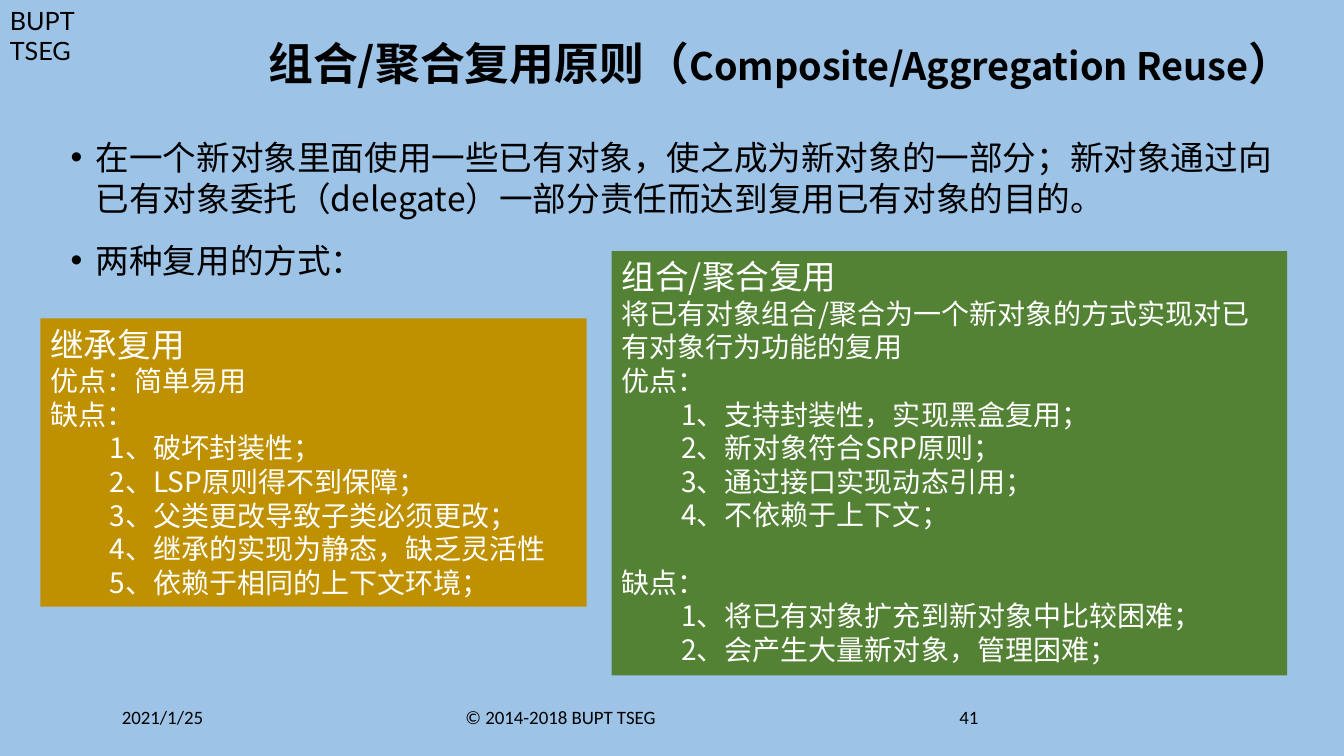
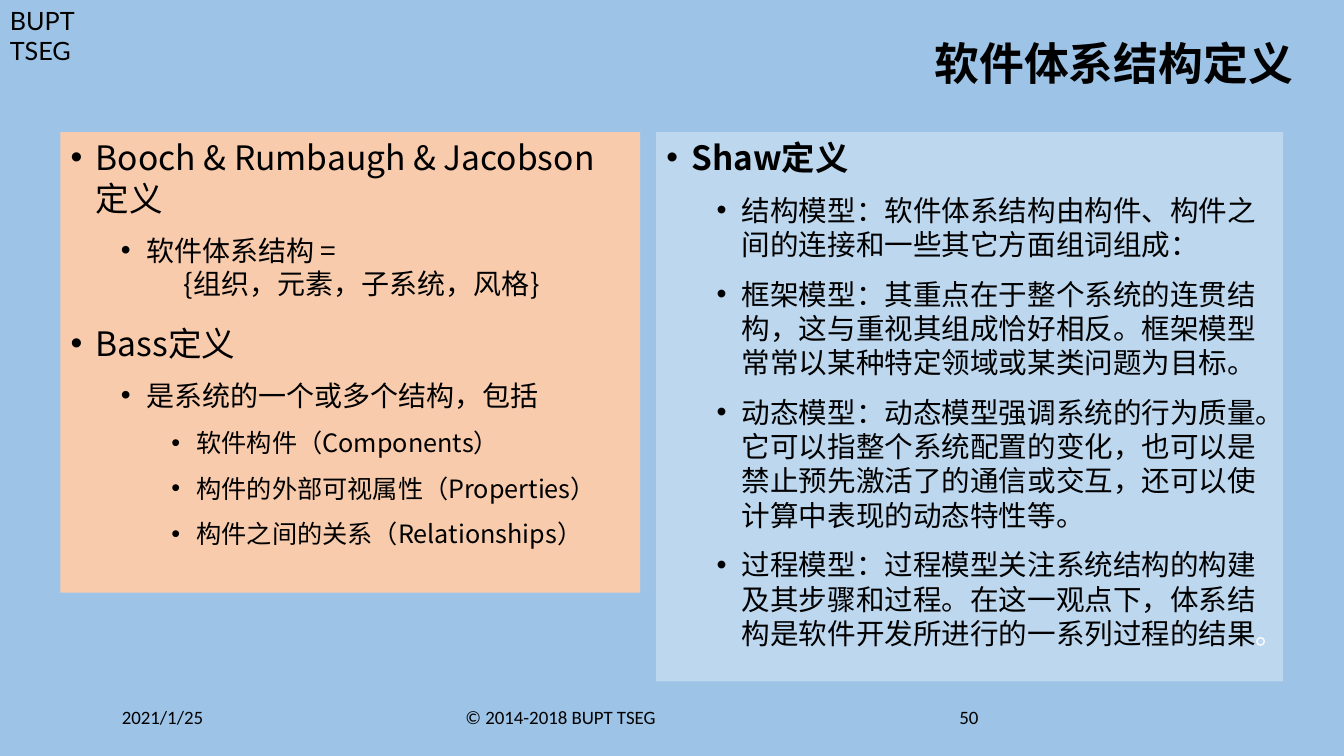
from dataclasses import dataclass

from lxml import etree
from pptx import Presentation
from pptx.dml.color import RGBColor
from pptx.enum.shapes import MSO_SHAPE
from pptx.enum.text import MSO_ANCHOR, MSO_AUTO_SIZE, PP_ALIGN
from pptx.oxml.ns import qn
from pptx.util import Pt

RECTANGLE = MSO_SHAPE.RECTANGLE
TOP, MIDDLE = MSO_ANCHOR.TOP, MSO_ANCHOR.MIDDLE
NO_AUTOFIT = MSO_AUTO_SIZE.NONE
LEFT, RIGHT = PP_ALIGN.LEFT, PP_ALIGN.RIGHT
CONTENT_LAYOUT, TWO_CONTENT_LAYOUT = 1, 3


@dataclass(frozen=True)
class Theme:
    background: str = "9DC3E6"
    ink: str = "000000"
    light: str = "FFFFFF"
    gold: str = "BF9000"
    green: str = "548235"
    peach: str = "F8CBAD"
    pale: str = "BDD7EE"
    text_font: str = "Noto Sans CJK SC"
    label_font: str = "Lato"
    footer_font: str = "Calibri"
    title_size: float = 32
    subtitle_size: float = 27
    label_size: float = 18
    footer_size: float = 13.5
    card_title_size: float = 24
    card_size: float = 20
    list_sizes: tuple = (24, 20, 18)
    dense_sizes: tuple = (23.8, 20.4)
    line_ratio: float = 1.2


@dataclass(frozen=True)
class Item:
    text: str
    level: int = 0
    bold: bool = False
    continued: bool = False
    light_end: str = ""


@dataclass(frozen=True)
class Line:
    text: str
    indented: bool = False
    gap: float = 0


THEME = Theme()


class Slides:
    def __init__(self, theme):
        self.theme = theme
        self.deck = Presentation()
        self.deck.slide_width, self.deck.slide_height = Pt(960), Pt(540)
        fill = self.deck.slide_master.background.fill
        fill.solid()
        fill.fore_color.rgb = RGBColor.from_string(theme.background)
        self.page = None

    def start(self, layout, number, *title):
        self.page = self.deck.slides.add_slide(self.deck.slide_layouts[layout])
        theme = self.theme
        self.label("BUPT TSEG", (0, 0, 80, 51), theme.label_font, theme.label_size)
        self.title(title)
        for text, left, width in (
            ("2021/1/25", 80, 216),
            ("© 2014-2018 BUPT TSEG", 325.4, 324),
            (str(number), 678.2, 216),
        ):
            self.label(text, (left, 500.4, width, 28.8), theme.footer_font, theme.footer_size)

    def place(self, shape, bounds):
        shape.left, shape.top, shape.width, shape.height = map(Pt, bounds)

    def fill(self, shape, color):
        shape.fill.solid()
        shape.fill.fore_color.rgb = RGBColor.from_string(color)

    def frame(self, shape, anchor=TOP):
        frame = shape.text_frame
        frame.word_wrap = True
        frame.auto_size = NO_AUTOFIT
        frame.vertical_anchor = anchor
        return frame

    def paragraph(self, frame, index):
        return frame.add_paragraph() if index else frame.paragraphs[0]

    def span(self, para, text, size, color=None, font=None, bold=False):
        span = para.add_run()
        span.text = text
        span.font.size = Pt(size)
        span.font.bold = bold
        span.font.color.rgb = RGBColor.from_string(color or self.theme.ink)
        span.font.name = font or self.theme.text_font
        east_asian = etree.SubElement(span.font._element, qn("a:ea"))
        east_asian.set("typeface", span.font.name)

    def indent(self, para, left, hanging=0):
        properties = para._p.get_or_add_pPr()
        properties.set("marL", str(Pt(left)))
        properties.set("indent", str(-Pt(hanging)))
        return properties

    def spacing(self, para, size, before=0, after=0):
        para.line_spacing = Pt(round(size * self.theme.line_ratio, 1))
        para.space_before, para.space_after = Pt(before), Pt(after)

    def label(self, text, bounds, font, size):
        box = self.page.shapes.add_textbox(*map(Pt, bounds))
        self.span(self.frame(box).paragraphs[0], text, size, font=font)

    def title(self, spans):
        shape = self.page.shapes.title
        self.place(shape, (117.4, 21.6, 813.6, 51.1))
        para = self.frame(shape, MIDDLE).paragraphs[0]
        para.alignment = RIGHT
        para.line_spacing = 0.9
        for text, size in spans:
            self.span(para, text, size, bold=True)

    def bullets(self, placeholder, bounds, items, sizes, color=None):
        shape = self.page.placeholders[placeholder]
        self.place(shape, bounds)
        if color:
            self.fill(shape, color)
        frame = self.frame(shape)
        for index, item in enumerate(items):
            para = self.paragraph(frame, index)
            para.level = item.level
            left, size = 18 + 36 * item.level, sizes[item.level]
            if item.continued:
                properties = self.indent(para, left + 27)
                etree.SubElement(properties, qn("a:buNone"))
            else:
                properties = self.indent(para, left, 18)
                etree.SubElement(properties, qn("a:buFont")).set("typeface", "Arial")
                etree.SubElement(properties, qn("a:buChar")).set("char", "•")
            before = 0 if index == 0 or item.continued else 5 if item.level else 10
            leads_on = index + 1 < len(items) and items[index + 1].continued
            self.spacing(para, size, before, 0 if leads_on else 6)
            self.span(para, item.text, size, bold=item.bold)
            if item.light_end:
                self.span(para, item.light_end, size, self.theme.light)

    def card(self, bounds, color, lines):
        shape = self.page.shapes.add_shape(RECTANGLE, *map(Pt, bounds))
        shape.shadow.inherit = False
        self.fill(shape, color)
        shape.line.fill.background()
        frame = self.frame(shape)
        for index, line in enumerate(lines):
            para = self.paragraph(frame, index)
            para.alignment = LEFT
            size = self.theme.card_size if index else self.theme.card_title_size
            self.indent(para, 42.5 if line.indented else 0)
            self.spacing(para, size, line.gap)
            self.span(para, line.text, size, self.theme.light)


def reuse_principle(slides):
    theme = slides.theme
    slides.start(
        CONTENT_LAYOUT, 41,
        ("组合/聚合复用原则（", theme.title_size),
        ("Composite/Aggregation Reuse", theme.subtitle_size),
        ("）", theme.title_size),
    )
    slides.bullets(1, (43.2, 94.3, 873.4, 392.4), [
        Item("在一个新对象里面使用一些已有对象，使之成为新对象的一部分；新对象通过向已有对象委托（delegate）一部分责任而达到复用已有对象的目的。"),
        Item("两种复用的方式："),
    ], theme.list_sizes)
    slides.card((28.8, 227.5, 390.2, 205.9), theme.gold, [
        Line("继承复用"),
        Line("优点：简单易用"),
        Line("缺点："),
        Line("1、破坏封装性；", True),
        Line("2、LSP原则得不到保障；", True),
        Line("3、父类更改导致子类必须更改；", True),
        Line("4、继承的实现为静态，缺乏灵活性", True),
        Line("5、依赖于相同的上下文环境；", True),
    ])
    slides.card((437, 179.3, 482.4, 303.1), theme.green, [
        Line("组合/聚合复用"),
        Line("将已有对象组合/聚合为一个新对象的方式实现对已有对象行为功能的复用"),
        Line("优点："),
        Line("1、支持封装性，实现黑盒复用；", True),
        Line("2、新对象符合SRP原则；", True),
        Line("3、通过接口实现动态引用；", True),
        Line("4、不依赖于上下文；", True),
        Line("缺点：", gap=24),
        Line("1、将已有对象扩充到新对象中比较困难；", True),
        Line("2、会产生大量新对象，管理困难；", True),
    ])


def architecture_definitions(slides):
    theme = slides.theme
    slides.start(TWO_CONTENT_LAYOUT, 50, ("软件体系结构定义", theme.title_size))
    slides.bullets(1, (43.2, 94.3, 414, 329), [
        Item("Booch & Rumbaugh & Jacobson 定义"),
        Item("软件体系结构 =", 1),
        Item("{组织，元素，子系统，风格}", 1, continued=True),
        Item("Bass定义"),
        Item("是系统的一个或多个结构，包括", 1),
        Item("软件构件（Components）", 2),
        Item("构件的外部可视属性（Properties）", 2),
        Item("构件之间的关系（Relationships）", 2),
    ], theme.list_sizes, theme.peach)
    slides.bullets(2, (468.7, 94.3, 447.8, 392.4), [
        Item("Shaw定义", bold=True),
        Item("结构模型：软件体系结构由构件、构件之间的连接和一些其它方面组词组成：", 1),
        Item("框架模型：其重点在于整个系统的连贯结构，这与重视其组成恰好相反。框架模型常常以某种特定领域或某类问题为目标。", 1),
        Item("动态模型：动态模型强调系统的行为质量。它可以指整个系统配置的变化，也可以是禁止预先激活了的通信或交互，还可以使计算中表现的动态特性等。", 1),
        Item("过程模型：过程模型关注系统结构的构建及其步骤和过程。在这一观点下，体系结构是软件开发所进行的一系列过程的结果", 1, light_end="。"),
    ], theme.dense_sizes, theme.pale)


def main():
    slides = Slides(THEME)
    reuse_principle(slides)
    architecture_definitions(slides)
    slides.deck.save("out.pptx")


if __name__ == "__main__":
    main()
